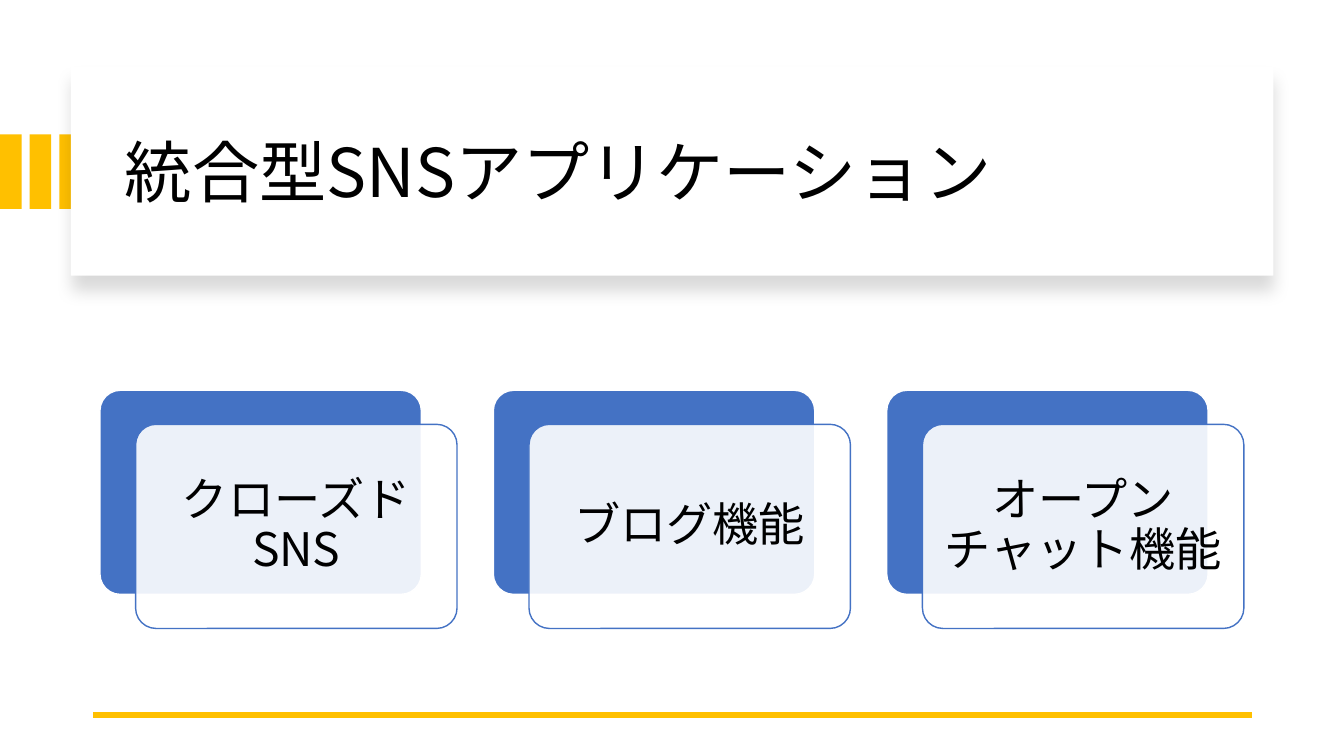
"""Build the slide on an integrated SNS application."""
from dataclasses import dataclass
from lxml.etree import SubElement
from pptx import Presentation
from pptx.dml.color import RGBColor
from pptx.enum.lang import MSO_LANGUAGE_ID
from pptx.enum.shapes import MSO_CONNECTOR, MSO_SHAPE
from pptx.enum.text import MSO_ANCHOR, PP_ALIGN
from pptx.oxml.ns import qn
from pptx.util import Pt

TITLE = "統合型SNSアプリケーション"
CARDS = ["クローズドSNS", "ブログ機能", "オープンチャット機能"]


@dataclass(frozen=True)
class Theme:
    """Hold colours, font and type sizes."""
    gold: str = "FFC000"
    blue: str = "4472C4"
    white: str = "FFFFFF"
    black: str = "000000"
    font: str = "Noto Sans CJK JP"
    head: int = 48
    label: int = 33


theme = Theme()


def color(code):
    """Turn a hex code into a colour."""
    return RGBColor.from_string(code)


def add_box(shapes, kind, box, fill, line=None):
    """Add a filled shape without a shadow."""
    shape = shapes.add_shape(kind, *map(Pt, box))
    shape.shadow.inherit = False
    shape.fill.solid()
    shape.fill.fore_color.rgb = color(fill)
    if line:
        shape.line.color.rgb = color(line)
        shape.line.width = Pt(1)
    else:
        shape.line.fill.background()
    return shape


def add_alpha(node, share):
    """Set the opacity of a colour in percent."""
    SubElement(node, qn("a:alpha"), val=str(share * 1000))


def set_text(shape, text, size, align):
    """Write one line of styled text."""
    frame = shape.text_frame
    frame.word_wrap = True
    frame.vertical_anchor = MSO_ANCHOR.MIDDLE
    frame.text = text
    para = frame.paragraphs[0]
    para.alignment = align
    para.line_spacing = 0.9
    font = para.font
    font.size = Pt(size)
    font.name = theme.font
    font.color.rgb = color(theme.black)
    font.language_id = MSO_LANGUAGE_ID.JAPANESE
    for props in shape.element.iter(qn("a:defRPr")):
        SubElement(props, qn("a:ea"), typeface=theme.font)


def add_head(slide):
    """Add the gold bars and the title on its raised panel."""
    bars = slide.shapes.add_group_shape().shapes
    for i in range(3):
        add_box(bars, MSO_SHAPE.RECTANGLE, (i * 21.2, 96, 15.4, 53.3), theme.gold)
    panel = add_box(slide.shapes, MSO_SHAPE.RECTANGLE, (50.6, 48, 859, 149), theme.white)
    effect = panel.element.spPr.find(qn("a:effectLst"))
    shade = SubElement(effect, qn("a:outerShdw"), blurRad=str(Pt(11)),
                       dist=str(Pt(10)), dir="5400000", algn="t", rotWithShape="0")
    add_alpha(SubElement(shade, qn("a:srgbClr"), val=theme.black), 15)
    title = slide.shapes.title
    title.left, title.top, title.width, title.height = map(Pt, (82, 64, 801, 122.4))
    set_text(title, TITLE, theme.head, PP_ALIGN.LEFT)
    panel.element.addnext(title.element)


def add_rule(slide):
    """Add the gold line at the foot."""
    rule = slide.shapes.add_connector(
        MSO_CONNECTOR.STRAIGHT, *map(Pt, (894.2, 510.5, 66.2, 510.5)))
    rule.line.color.rgb = color(theme.gold)
    rule.line.width = Pt(4.5)
    SubElement(rule.element.spPr, qn("a:effectLst"))


def add_cards(slide):
    """Add the row of layered cards."""
    left, top, wide, high, step = 71.4, 278.8, 229.6, 145.8, 281
    shapes = slide.shapes.add_group_shape().shapes
    for i, text in enumerate(CARDS):
        x = left + i * step
        back = add_box(shapes, MSO_SHAPE.ROUNDED_RECTANGLE,
                       (x, top, wide, high), theme.blue, theme.white)
        front = add_box(shapes, MSO_SHAPE.ROUNDED_RECTANGLE,
                        (x + 25.5, top + 24.3, wide, high), theme.white, theme.blue)
        for card in (back, front):
            card.adjustments[0] = 0.1
        add_alpha(front.element.spPr.find(qn("a:solidFill"))[0], 90)
        frame = front.text_frame
        frame.margin_left = frame.margin_right = Pt(10)
        frame.margin_top = frame.margin_bottom = Pt(10)
        set_text(front, text, theme.label, PP_ALIGN.CENTER)


def main():
    """Build and save the deck."""
    deck = Presentation()
    deck.slide_width, deck.slide_height = Pt(960), Pt(540)
    slide = deck.slides.add_slide(deck.slide_layouts[5])
    add_head(slide)
    add_rule(slide)
    add_cards(slide)
    deck.save("out.pptx")


if __name__ == "__main__":
    main()
